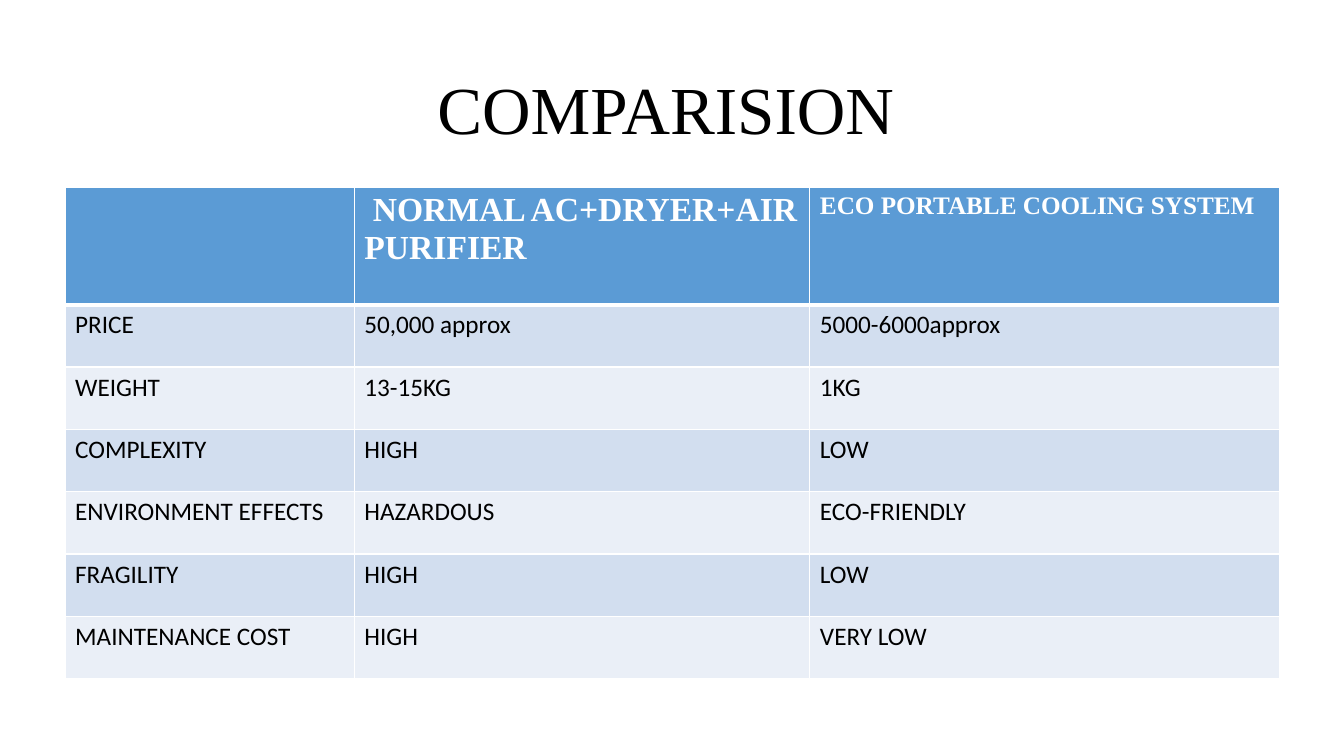
from lxml import etree
from pptx import Presentation
from pptx.dml.color import RGBColor
from pptx.enum.text import MSO_ANCHOR, PP_ALIGN
from pptx.oxml.ns import qn
from pptx.util import Cm, Pt

MIDDLE = MSO_ANCHOR.MIDDLE
CENTER = PP_ALIGN.CENTER

SERIF, SANS = "Times New Roman", "Calibri"
BLACK, WHITE = "000000", "FFFFFF"
HEADER_BLUE = "5B9BD5"
BANDS = ("D2DEEF", "EAEFF7")

COLUMN_WIDTHS = (7.29, 11.48, 11.84)
HEADER_HEIGHT, ROW_HEIGHT = 2.97, 1.57
HEADERS = (
    ("", 18),
    (" NORMAL AC+DRYER+AIR PURIFIER", 24),
    ("ECO PORTABLE COOLING SYSTEM", 18),
)
FEATURES = (
    ("PRICE", "50,000 approx", "5000-6000approx"),
    ("WEIGHT", "13-15KG", "1KG"),
    ("COMPLEXITY", "HIGH", "LOW"),
    ("ENVIRONMENT EFFECTS", "HAZARDOUS", "ECO-FRIENDLY"),
    ("FRAGILITY", "HIGH", "LOW"),
    ("MAINTENANCE COST", "HIGH", "VERY LOW"),
)


def color(hex_code):
    return RGBColor.from_string(hex_code)


def add_run(paragraph, text, size, font, hex_code, bold=False):
    run = paragraph.add_run()
    run.text = text
    run.font.size = Pt(size)
    run.font.name = font
    run.font.bold = bold
    run.font.color.rgb = color(hex_code)


def add_title(slide, text):
    title = slide.shapes.add_textbox(Cm(2.33), Cm(1.01), Cm(29.21), Cm(3.68))
    frame = title.text_frame
    frame.word_wrap = True
    frame.vertical_anchor = MIDDLE
    frame.margin_right = Cm(0.56)
    paragraph = frame.paragraphs[0]
    paragraph.alignment = CENTER
    paragraph.line_spacing = 0.9
    add_run(paragraph, text, 48, SERIF, BLACK)


def set_borders(cell, top=1, bottom=1):
    """Draw white cell borders; widths are in points."""
    properties = cell._tc.get_or_add_tcPr()
    for side, width in (("L", 1), ("R", 1), ("T", top), ("B", bottom)):
        line = etree.SubElement(properties, qn(f"a:ln{side}"), w=str(Pt(width)))
        fill = etree.SubElement(line, qn("a:solidFill"))
        etree.SubElement(fill, qn("a:srgbClr"), val=WHITE)


def fill_cell(cell, hex_code):
    cell.fill.solid()
    cell.fill.fore_color.rgb = color(hex_code)


def add_comparison(slide):
    row_count = len(FEATURES) + 1
    table = slide.shapes.add_table(
        row_count, len(COLUMN_WIDTHS), Cm(1.64), Cm(4.71), Cm(sum(COLUMN_WIDTHS)),
        Cm(HEADER_HEIGHT + ROW_HEIGHT * len(FEATURES))).table
    for column, width in zip(table.columns, COLUMN_WIDTHS):
        column.width = Cm(width)
    for index, row in enumerate(table.rows):
        row.height = Cm(ROW_HEIGHT if index else HEADER_HEIGHT)

    for cell, (heading, size) in zip(table.rows[0].cells, HEADERS):
        set_borders(cell, bottom=3)
        fill_cell(cell, HEADER_BLUE)
        if heading:
            add_run(cell.text_frame.paragraphs[0], heading, size, SERIF, WHITE, bold=True)

    for index, feature in enumerate(FEATURES):
        for cell, value in zip(table.rows[index + 1].cells, feature):
            set_borders(cell, top=1 if index else 3)
            fill_cell(cell, BANDS[index % 2])
            add_run(cell.text_frame.paragraphs[0], value, 18, SANS, BLACK)


def main():
    deck = Presentation()
    deck.slide_width, deck.slide_height = Cm(33.87), Cm(19.05)
    slide = deck.slides.add_slide(deck.slide_layouts[6])
    add_title(slide, "COMPARISION")
    add_comparison(slide)
    deck.save("out.pptx")


if __name__ == "__main__":
    main()
